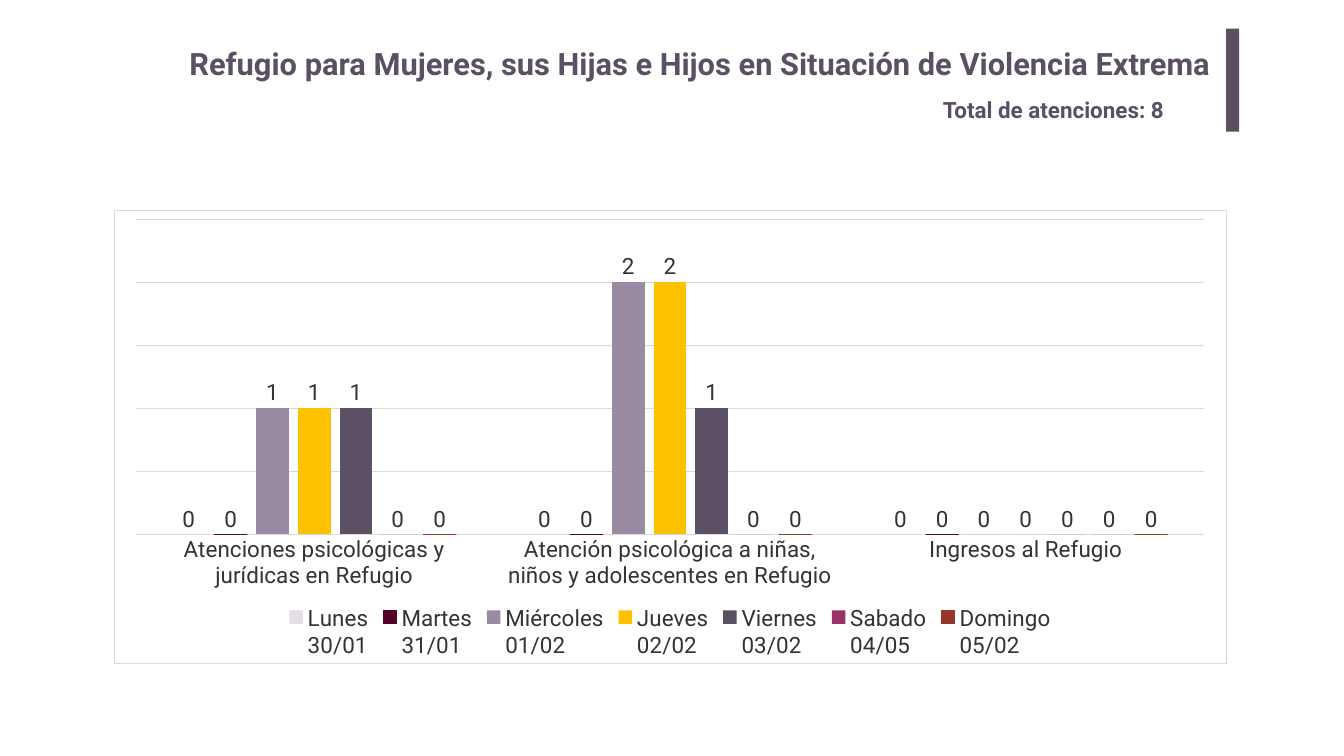
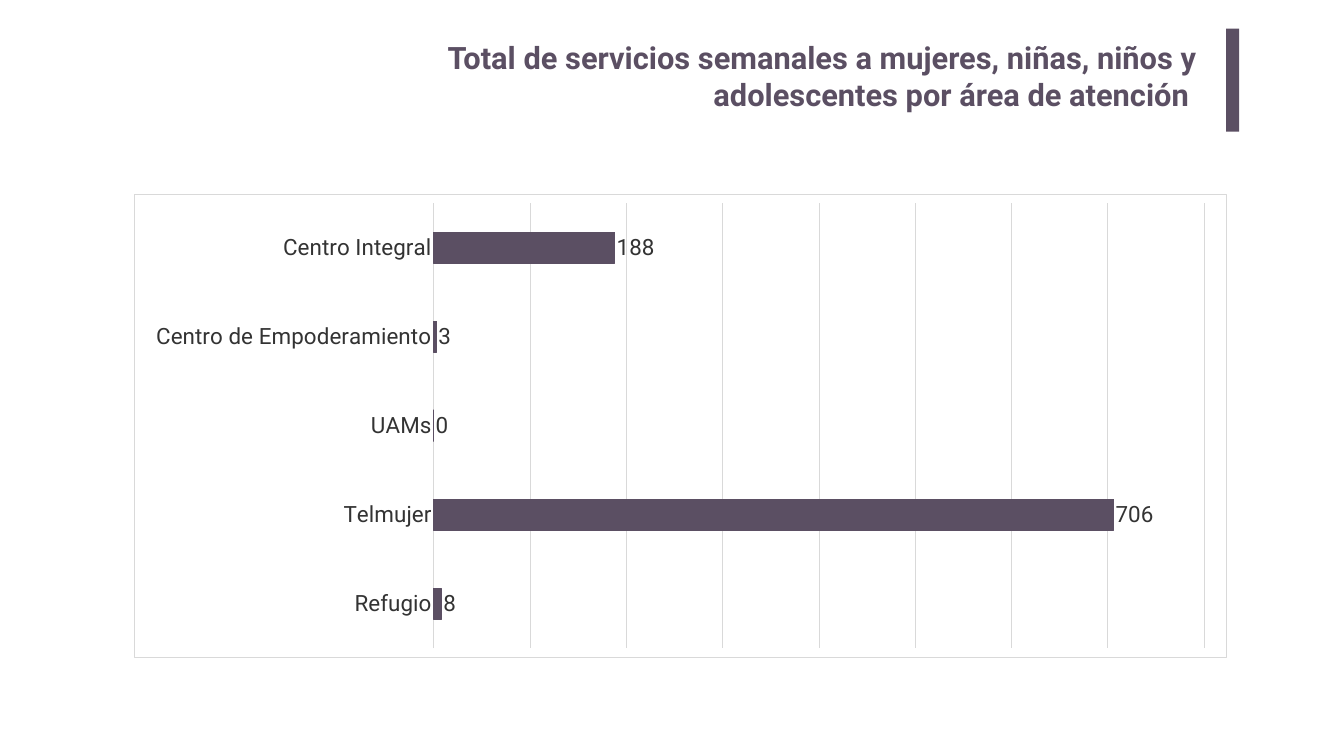
import pptx
import pptx.chart.data
import pptx.dml.color
import pptx.enum.chart
import pptx.enum.shapes
import pptx.enum.text
import pptx.oxml
import pptx.oxml.ns
import pptx.util

RGB = pptx.dml.color.RGBColor
PLUM = RGB(0x5B, 0x4F, 0x63)
INK = RGB(0x33, 0x33, 0x33)
RULE = RGB(0xD9, 0xD9, 0xD9)
PALE = RGB(0xE3, 0xDF, 0xE5)
WINE = RGB(0x54, 0x00, 0x2A)
MAUVE = RGB(0x99, 0x8B, 0xA3)
GOLD = RGB(0xFF, 0xC0, 0x00)
PINK = RGB(0x99, 0x33, 0x66)
RUST = RGB(0x95, 0x37, 0x2B)

FONT = "Roboto"
BIG, BODY, THIN = pptx.util.Pt(44), pptx.util.Pt(32), pptx.util.Pt(0.75)
WIDTH, HEIGHT = pptx.util.Inches(26.67), pptx.util.Inches(15)
EDGE = 91.23
KIND = pptx.enum.chart.XL_CHART_TYPE
ALIGN = pptx.enum.text.PP_ALIGN

DAYS = [
    ("Lunes\n30/01", (0, 0, 0), PALE, False),
    ("Martes\n31/01", (0, 0, 0), WINE, True),
    ("Miércoles\n01/02", (1, 2, 0), MAUVE, False),
    ("Jueves\n02/02", (1, 2, 0), GOLD, False),
    ("Viernes\n03/02", (1, 1, 0), PLUM, False),
    ("Sabado\n04/05", (0, 0, 0), PINK, False),
    ("Domingo\n05/02", (0, 0, 0), RUST, True),
]
CARE = [
    "Atenciones psicológicas y jurídicas en Refugio",
    "Atención psicológica a niñas, niños y adolescentes en Refugio",
    "Ingresos al Refugio",
]
AREAS = ["Centro Integral", "Centro de Empoderamiento", "UAMs", "Telmujer", "Refugio"]
TOTAL = [("Series 1", (188, 3, 0, 706, 8), PLUM, True)]


def grid(x, y, w, h):
    """Turn hundredths of the slide's width and height into lengths."""
    return [int(n * side / 100) for n, side in zip((x, y, w, h), (WIDTH, HEIGHT) * 2)]


def style(font, size, color, bold=False):
    """Set the shared typeface with a size and colour."""
    font.name, font.size, font.bold = FONT, size, bold
    font.color.rgb = color


def write(shape, text, size, inset, align):
    """Put one bold plum paragraph into a shape."""
    frame = shape.text_frame
    frame.text = text
    frame.word_wrap = True
    frame.auto_size = pptx.enum.text.MSO_AUTO_SIZE.NONE
    frame.vertical_anchor = pptx.enum.text.MSO_ANCHOR.TOP
    frame.margin_left = frame.margin_right = pptx.util.Inches(inset)
    frame.margin_top = frame.margin_bottom = pptx.util.Inches(inset / 2)
    frame.paragraphs[0].alignment = align
    style(frame.paragraphs[0].font, size, PLUM, True)


def start(deck, text, place, inset, align):
    """Add a slide with its title and the upright band beside it."""
    slide = deck.slides.add_slide(deck.slide_layouts[5])
    title = slide.shapes.title
    title.left, title.top, title.width, title.height = grid(*place)
    write(title, text, BIG, inset, align)
    band = slide.shapes.add_shape(
        pptx.enum.shapes.MSO_SHAPE.RECTANGLE, *grid(EDGE, 3.8, 0.97, 13.6))
    band.shadow.inherit = False
    band.fill.solid()
    band.fill.fore_color.rgb = PLUM
    band.line.fill.background()
    return slide


def frame_chart(chart):
    """Give the chart area a white fill and a thin grey border."""
    area = pptx.oxml.parse_xml(
        f'<c:spPr {pptx.oxml.ns.nsdecls("c", "a")}>'
        '<a:solidFill><a:srgbClr val="FFFFFF"/></a:solidFill>'
        f'<a:ln w="{int(THIN)}"><a:solidFill><a:srgbClr val="{RULE}"/></a:solidFill></a:ln>'
        '</c:spPr>')
    chart._chartSpace.find(pptx.oxml.ns.qn("c:txPr")).addprevious(area)


def rule(line):
    """Draw a chart line thin and grey."""
    line.color.rgb, line.width = RULE, THIN


def plot(slide, kind, place, names, rows, top, step, gap, overlap):
    """Add a labelled bar chart that ends at the band."""
    data = pptx.chart.data.CategoryChartData(number_format="0")
    data.categories = names
    for name, vals, _, _ in rows:
        data.add_series(name, vals)
    x, y, h = place
    chart = slide.shapes.add_chart(kind, *grid(x, y, EDGE - x, h), data).chart
    style(chart.font, BODY, INK)
    frame_chart(chart)
    chart.has_title = False
    chart.has_legend = len(rows) > 1
    if chart.has_legend:
        chart.legend.position = pptx.enum.chart.XL_LEGEND_POSITION.BOTTOM
        chart.legend.include_in_layout = False
        style(chart.legend.font, BODY, INK)

    cats, scale = chart.category_axis, chart.value_axis
    cats.major_tick_mark = pptx.enum.chart.XL_TICK_MARK.NONE
    style(cats.tick_labels.font, BODY, INK)
    rule(cats.format.line)
    cats.reverse_order = kind == KIND.BAR_CLUSTERED
    scale.visible = False
    scale.minimum_scale, scale.maximum_scale, scale.major_unit = 0, top, step
    scale.has_major_gridlines = True
    rule(scale.major_gridlines.format.line)

    bars = chart.plots[0]
    bars.gap_width, bars.overlap, bars.vary_by_categories = gap, overlap, False
    for item, (_, _, color, lined) in zip(bars.series, rows):
        item.format.fill.solid()
        item.format.fill.fore_color.rgb = color
        if lined:
            item.format.line.color.rgb, item.format.line.width = color, THIN
        else:
            item.format.line.fill.background()
        tags = item.data_labels
        tags.show_value = True
        tags.position = pptx.enum.chart.XL_LABEL_POSITION.OUTSIDE_END
        style(tags.font, BODY, INK)


def main():
    """Build both slides and save the deck."""
    deck = pptx.Presentation()
    deck.slide_width, deck.slide_height = WIDTH, HEIGHT

    slide = start(deck, "Refugio para Mujeres, sus Hijas e Hijos en Situación de Violencia Extrema",
                  (13.72, 5.6, 77.73, 5.6), 0.1, ALIGN.LEFT)
    count = slide.shapes.add_textbox(*grid(69.78, 12.33, 20.06, 4.27))
    write(count, "Total de atenciones: 8", BODY, 0.1, ALIGN.LEFT)
    plot(slide, KIND.COLUMN_CLUSTERED, (8.47, 27.73, 60), CARE, DAYS, 2.5, 0.5, 219, -27)

    slide = start(
        deck, "Total de servicios semanales a mujeres, niñas, niños y adolescentes por área de atención ",
        (24.6, 4.47, 65.24, 13.6), 0.2, ALIGN.RIGHT)
    plot(slide, KIND.BAR_CLUSTERED, (9.97, 25.6, 61.4), AREAS, TOTAL, 800, 100, 182, 0)

    deck.save("out.pptx")


if __name__ == "__main__":
    main()
